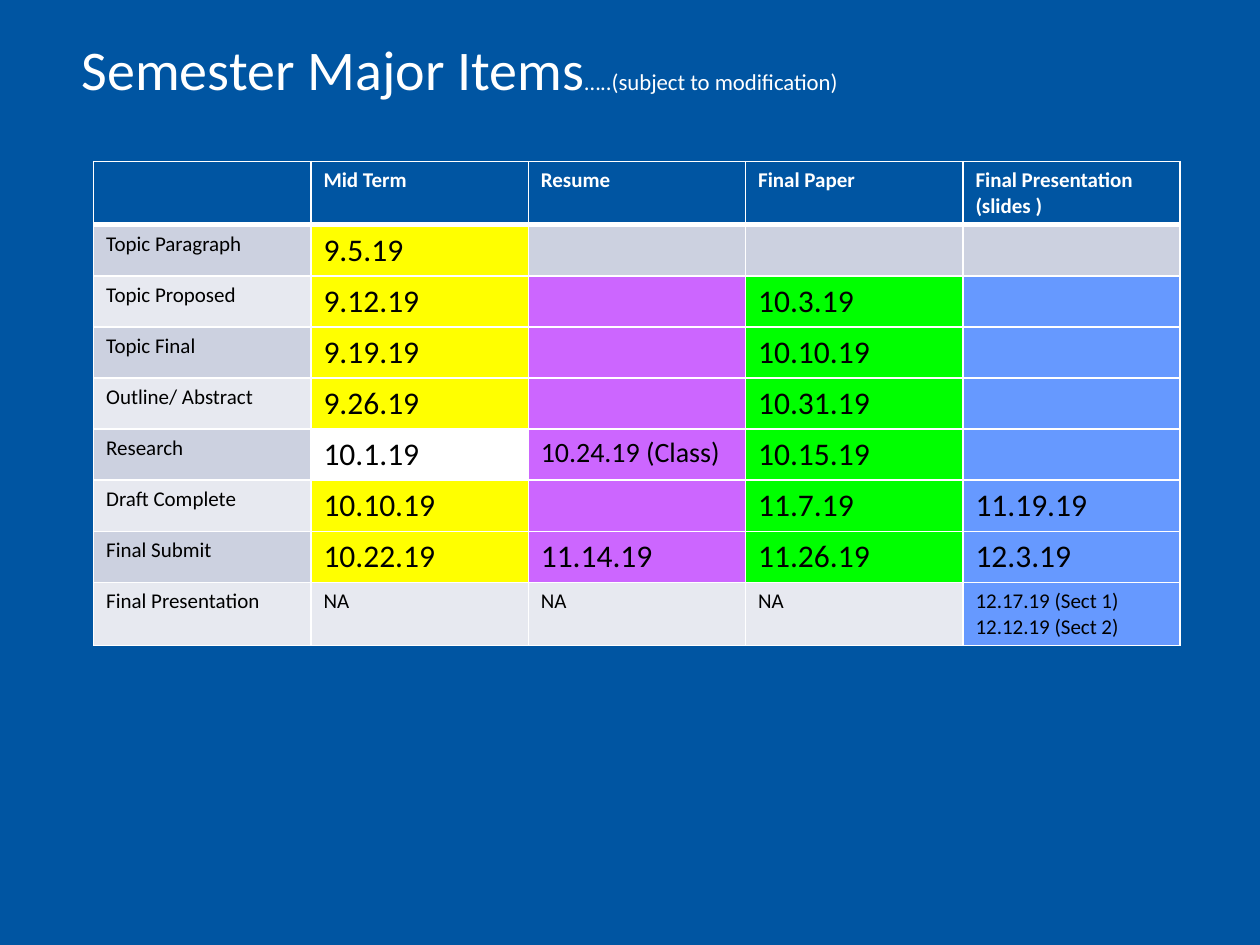
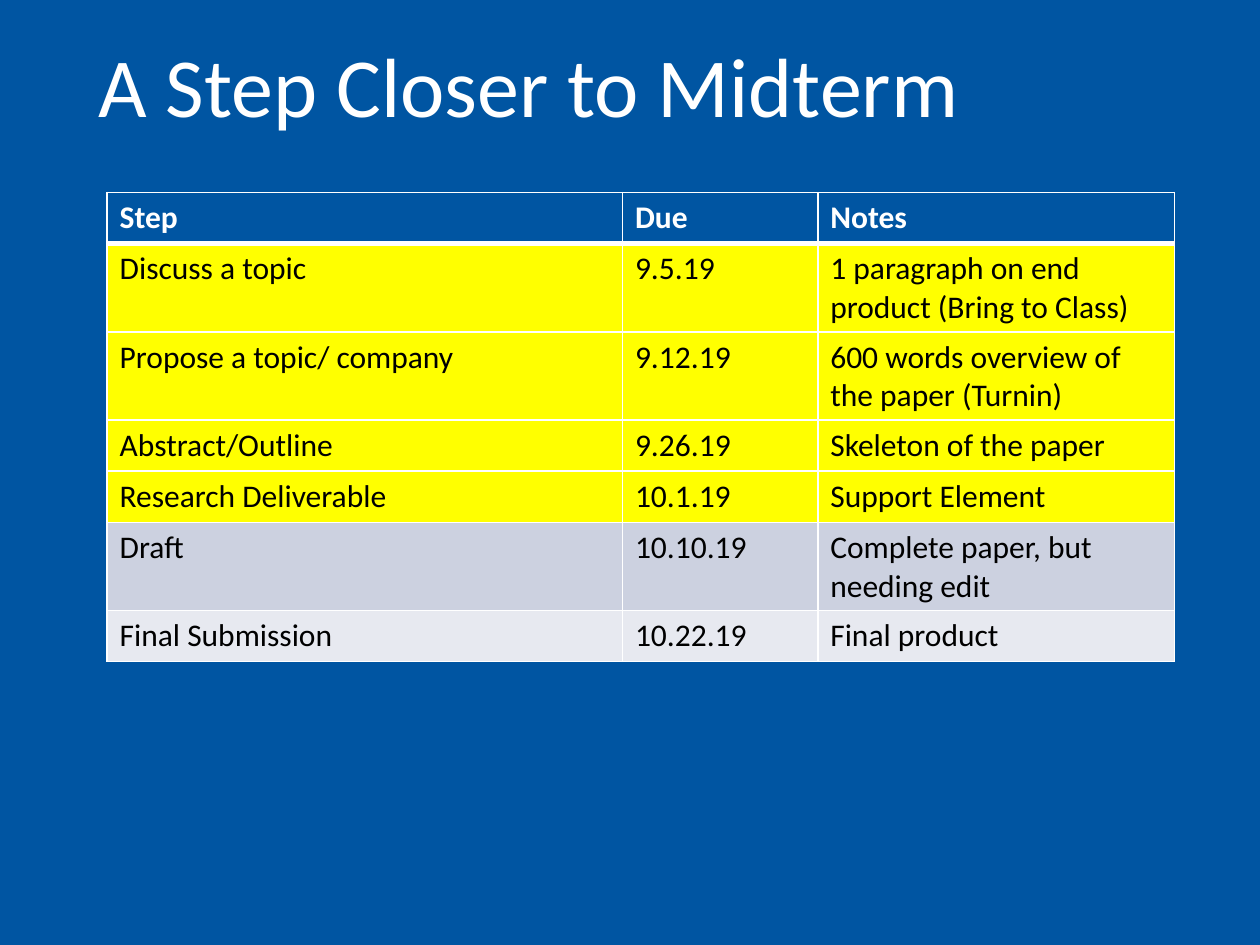
from lxml import etree
from pptx import Presentation
from pptx.dml.color import RGBColor
from pptx.enum.text import MSO_ANCHOR
from pptx.oxml.ns import qn
from pptx.util import Pt

MIDDLE = MSO_ANCHOR.MIDDLE
FONT = "Calibri"
COLORS = {
    "blue": "0055A2", "white": "FFFFFF", "black": "000000",
    "band_dark": "CCD1E0", "band_light": "E7E9F0", "yellow": "FFFF00",
    "purple": "CC66FF", "green": "00FF00", "sky": "6699FF",
}
ROW_H = 29.2
TITLE_W, TITLE_H = 620.6, 69.8


def rgb(name):
    return RGBColor.from_string(COLORS[name])


def lookup(rules, r, c, default):
    """Value of the last rule whose rows and columns hold the cell."""
    for value, rows, cols in rules:
        if r in rows and c in cols:
            default = value
    return default


class Deck:
    def __init__(self):
        self.prs = Presentation()
        self.prs.slide_width, self.prs.slide_height = Pt(720), Pt(540)
        self.s = None

    def slide(self):
        self.s = self.prs.slides.add_slide(self.prs.slide_layouts[6])
        fill = self.s.background.fill
        fill.solid()
        fill.fore_color.rgb = rgb("blue")

    def run(self, p, text, size, color, bold=False):
        r = p.add_run()
        r.text = text
        for name, value in {"name": FONT, "size": Pt(size), "bold": bold}.items():
            setattr(r.font, name, value)
        r.font.color.rgb = rgb(color)

    def title(self, x, y, *parts):
        tf = self.s.shapes.add_textbox(Pt(x), Pt(y), Pt(TITLE_W), Pt(TITLE_H)).text_frame
        tf.word_wrap, tf.vertical_anchor = True, MIDDLE
        p = tf.paragraphs[0]
        p.line_spacing = 0.9
        for text, size in parts:
            self.run(p, text, size, "white")

    def borders(self, cell, top, bottom):
        tcPr = cell._tc.get_or_add_tcPr()
        for side, width in {"L": 1, "R": 1, "T": top, "B": bottom}.items():
            ln = etree.SubElement(tcPr, qn(f"a:ln{side}"), w=str(Pt(width)))
            solid = etree.SubElement(ln, qn("a:solidFill"))
            etree.SubElement(solid, qn("a:srgbClr"), val=COLORS["white"])

    def table(self, x, y, widths, rows, size, fills, sizes=()):
        frame = self.s.shapes.add_table(len(rows), len(widths), Pt(x), Pt(y),
                                        Pt(sum(widths)), Pt(ROW_H * len(rows)))
        tbl = frame.table
        tbl.first_row = tbl.horz_banding = False
        for col, width in zip(tbl.columns, widths):
            col.width = Pt(width)
        for r, texts in enumerate(rows):
            tbl.rows[r].height = Pt(ROW_H)
            head = r == 0
            band = "blue" if head else "band_dark" if r % 2 else "band_light"
            for c, text in enumerate(texts):
                cell = tbl.cell(r, c)
                self.borders(cell, 3 if r == 1 else 1, 3 if head else 1)
                cell.fill.solid()
                cell.fill.fore_color.rgb = rgb(lookup(fills, r, c, band))
                tf = cell.text_frame
                for i, line in enumerate(text.split("\n") if text else []):
                    p = tf.add_paragraph() if i else tf.paragraphs[0]
                    self.run(p, line, lookup(sizes, r, c, size),
                             "white" if head else "black", head)


def semester_items(deck):
    deck.slide()
    deck.title(39.6, 6.5, ("Semester Major Items", 32),
               ("…..(subject to modification)", 13))
    rows = [
        ["", "Mid Term", "Resume", "Final Paper", "Final Presentation (slides )"],
        ["Topic Paragraph", "9.5.19", "", "", ""],
        ["Topic Proposed", "9.12.19", "", "10.3.19", ""],
        ["Topic Final", "9.19.19", "", "10.10.19", ""],
        ["Outline/ Abstract", "9.26.19", "", "10.31.19", ""],
        ["Research", "10.1.19", "10.24.19 (Class)", "10.15.19", ""],
        ["Draft Complete", "10.10.19", "", "11.7.19", "11.19.19"],
        ["Final Submit", "10.22.19", "11.14.19", "11.26.19", "12.3.19"],
        ["Final Presentation", "NA", "NA", "NA",
         "12.17.19 (Sect 1)\n12.12.19 (Sect 2)"],
    ]
    # Each deliverable has its own column colour
    fills = [
        ("yellow", range(1, 8), [1]), ("white", [5], [1]),
        ("purple", range(2, 8), [2]), ("green", range(2, 8), [3]),
        ("sky", range(2, 9), [4]),
    ]
    # Dates are larger than labels
    sizes = [(18, range(1, 8), range(1, 5)), (16, [5], [2])]
    deck.table(53.5, 92.4, [124.2] * 5, rows, 12, fills, sizes)


def midterm_steps(deck):
    deck.slide()
    deck.title(49, 16.6, ("A Step Closer to Midterm", 48))
    rows = [
        ["Step", "Due", "Notes"],
        ["Discuss a topic", "9.5.19", "1 paragraph on end product (Bring to Class)"],
        ["Propose a topic/ company", "9.12.19", "600 words overview of the paper (Turnin)"],
        ["Abstract/Outline", "9.26.19", "Skeleton of the paper"],
        ["Research Deliverable", "10.1.19", "Support Element"],
        ["Draft", "10.10.19", "Complete paper, but needing edit"],
        ["Final Submission", "10.22.19", "Final product"],
    ]
    # The first four steps are highlighted
    fills = [("yellow", range(1, 5), range(3))]
    deck.table(61.2, 110, [294.5, 111.6, 203.8], rows, 18, fills)


def main():
    deck = Deck()
    semester_items(deck)
    midterm_steps(deck)
    deck.prs.save("out.pptx")


if __name__ == "__main__":
    main()
